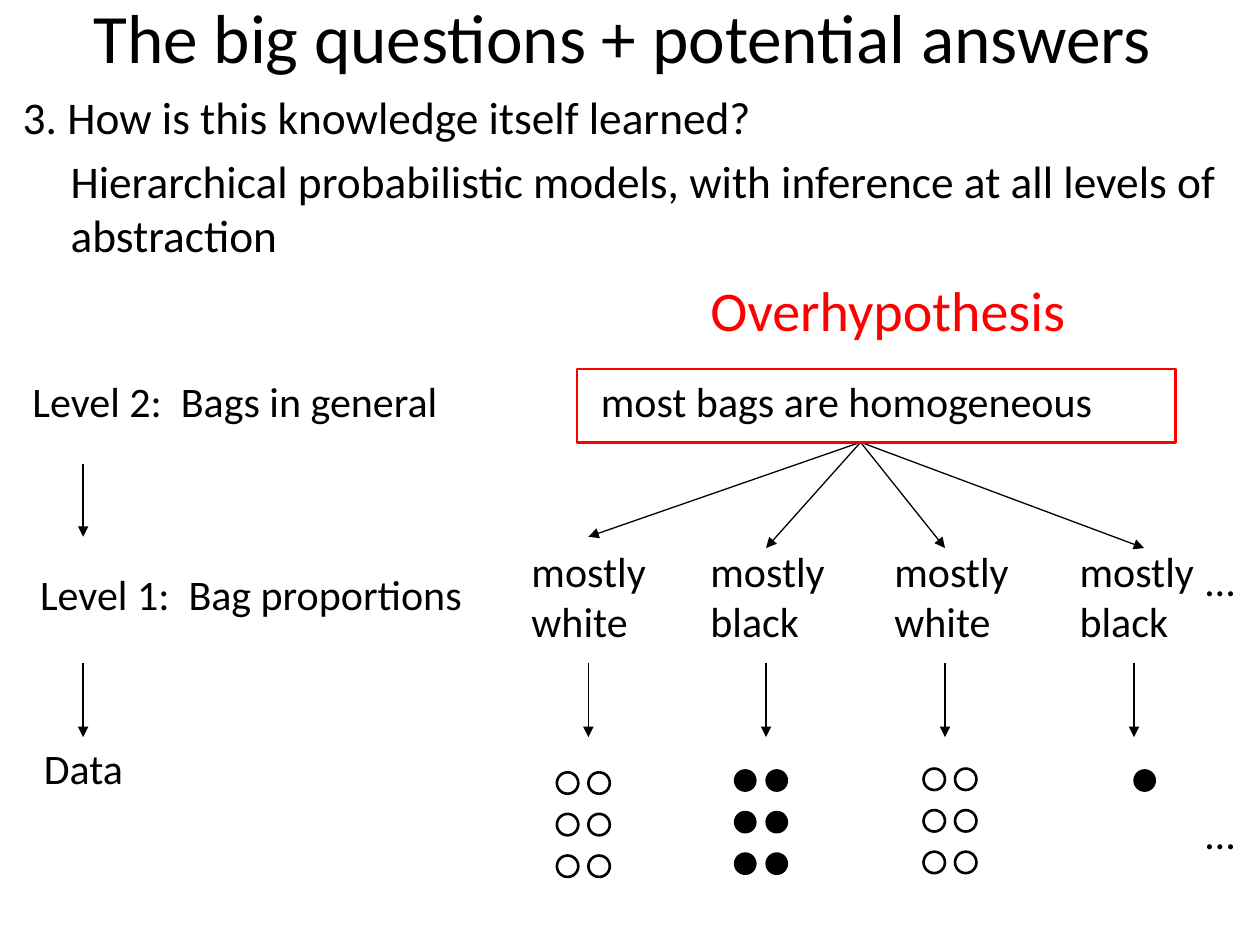
from dataclasses import dataclass

from lxml.etree import SubElement
from pptx import Presentation
from pptx.dml.color import RGBColor
from pptx.enum.shapes import MSO_CONNECTOR as Connector, MSO_SHAPE as Shape
from pptx.enum.text import MSO_ANCHOR as Anchor, MSO_AUTO_SIZE as AutoSize, PP_ALIGN as Align
from pptx.oxml.ns import qn
from pptx.util import Inches, Pt


@dataclass(frozen=True)
class Theme:
    font: str = "Calibri"
    black: RGBColor = RGBColor(0, 0, 0)
    white: RGBColor = RGBColor(255, 255, 255)
    red: RGBColor = RGBColor(255, 0, 0)
    title: float = 39.6
    body: float = 25.9
    heading: float = 32
    label: float = 24
    thin: float = 0.75
    thick: float = 1.5


THEME = Theme()

TITLE = "The big questions + potential answers"
QUESTION = "3. How is this knowledge itself learned?"
ANSWER = "Hierarchical probabilistic models, with inference at all levels of abstraction"

LEVELS = [
    ("Level 2:  Bags in general", (0.16, 2.93, 4.5, 0.5)),
    ("Level 1:  Bag proportions", (0.22, 4.46, 3.92, 0.5)),
    ("Data", (0.25, 5.84, 1.32, 0.5)),
]
HYPOTHESIS = ("most bags are homogeneous", (4.67, 2.93, 4.58, 0.5))
HYPOTHESIS_FRAME = (4.58, 2.93, 4.75, 0.58)
HEADING = ("Overhypothesis", (5.54, 2.14, 3.29, 0.63))
ELLIPSES = [("…", (9.47, top, 0.53, 0.5)) for top in (4.35, 6.36)]

BAGS = [
    dict(color="white", label=4.12, arrow=4.67, tip=(4.67, 4.26), draws=(4.42, 6.13), count=6),
    dict(color="black", label=5.54, arrow=6.08, tip=(6.08, 4.35), draws=(5.83, 6.11), count=6),
    dict(color="white", label=7.0, arrow=7.5, tip=(7.5, 4.35), draws=(7.33, 6.1), count=6),
    dict(color="black", label=8.47, arrow=9.0, tip=(9.08, 4.35), draws=(9.0, 6.11), count=1),
]
FAN_START = (6.83, 3.51)
LEVEL_ARROW_X = 0.66
UPPER_ARROW = (3.68, 4.26)
LOWER_ARROW = (5.26, 5.85)
BAG_LABEL_TOP, BAG_LABEL_SIZE = 4.28, (1.16, 0.9)
BALL, BALL_STEP_X, BALL_STEP_Y, BALLS_PER_ROW = 0.17, 0.25, 0.33, 2


def place(part, box):
    part.left, part.top, part.width, part.height = map(Inches, box)


def add_run(paragraph, words, size, color=THEME.black):
    run = paragraph.add_run()
    run.text = words
    run.font.name = THEME.font
    run.font.size = Pt(size)
    run.font.color.rgb = color


def add_label(slide, lines, box, size=THEME.label, color=THEME.black, wrap=False):
    frame = slide.shapes.add_textbox(*map(Inches, box)).text_frame
    frame.word_wrap = wrap
    frame.auto_size = AutoSize.SHAPE_TO_FIT_TEXT
    for index, line in enumerate(lines):
        paragraph = frame.add_paragraph() if index else frame.paragraphs[0]
        add_run(paragraph, line, size, color)


def add_arrow(slide, start, end):
    arrow = slide.shapes.add_connector(Connector.STRAIGHT, *map(Inches, (*start, *end)))
    arrow.line.color.rgb = THEME.black
    arrow.line.width = Pt(THEME.thin)
    SubElement(arrow.line._get_or_add_ln(), qn("a:tailEnd"), type="triangle")
    SubElement(arrow._element.spPr, qn("a:effectLst"))


def add_outline(slide, kind, box, color, width, fill=None):
    outline = slide.shapes.add_shape(kind, *map(Inches, box))
    outline.shadow.inherit = False
    outline.line.color.rgb = color
    outline.line.width = Pt(width)
    if fill is None:
        outline.fill.background()
    else:
        outline.fill.solid()
        outline.fill.fore_color.rgb = fill


def add_title_and_body(slide):
    title, body = slide.placeholders
    place(title, (0.38, -0.1, 9.12, 0.77))
    title.text_frame.auto_size = AutoSize.NONE
    title.text_frame.vertical_anchor = Anchor.MIDDLE
    heading = title.text_frame.paragraphs[0]
    heading.alignment = Align.CENTER
    add_run(heading, TITLE, THEME.title)

    place(body, (0.08, 0.66, 9.89, 1.33))
    frame = body.text_frame
    frame.auto_size = AutoSize.NONE
    rows = [
        (frame.paragraphs[0], QUESTION, 0, -0.38, 0),
        (frame.add_paragraph(), ANSWER, 1, 0, 0.2 * THEME.body),
    ]
    for paragraph, words, level, indent, gap in rows:
        paragraph.level = level
        paragraph.space_before = Pt(gap)
        properties = paragraph._p.get_or_add_pPr()
        properties.set("marL", str(Inches(0.38)))
        properties.set("indent", str(Inches(indent)))
        SubElement(properties, qn("a:buNone"))
        add_run(paragraph, words, THEME.body)


def add_bag(slide, bag):
    add_label(slide, ["mostly", bag["color"]], (bag["label"], BAG_LABEL_TOP, *BAG_LABEL_SIZE))
    add_arrow(slide, FAN_START, bag["tip"])
    add_arrow(slide, *((bag["arrow"], y) for y in LOWER_ARROW))
    is_white = bag["color"] == "white"
    fill = THEME.white if is_white else THEME.black
    width = THEME.thick if is_white else THEME.thin
    left, top = bag["draws"]
    for index in range(bag["count"]):
        row, column = divmod(index, BALLS_PER_ROW)
        box = (left + column * BALL_STEP_X, top + row * BALL_STEP_Y, BALL, BALL)
        add_outline(slide, Shape.OVAL, box, THEME.black, width, fill)


def main():
    deck = Presentation()
    deck.slide_width, deck.slide_height = Inches(10), Inches(7.5)
    slide = deck.slides.add_slide(deck.slide_layouts[1])
    add_title_and_body(slide)

    for words, box in [*LEVELS, HYPOTHESIS]:
        add_label(slide, [words], box, wrap=True)
    for words, box in ELLIPSES:
        add_label(slide, [words], box)
    for span in (UPPER_ARROW, LOWER_ARROW):
        add_arrow(slide, *((LEVEL_ARROW_X, y) for y in span))
    for bag in BAGS:
        add_bag(slide, bag)

    add_outline(slide, Shape.RECTANGLE, HYPOTHESIS_FRAME, THEME.red, THEME.thick)
    words, box = HEADING
    add_label(slide, [words], box, THEME.heading, THEME.red)
    deck.save("out.pptx")


if __name__ == "__main__":
    main()
